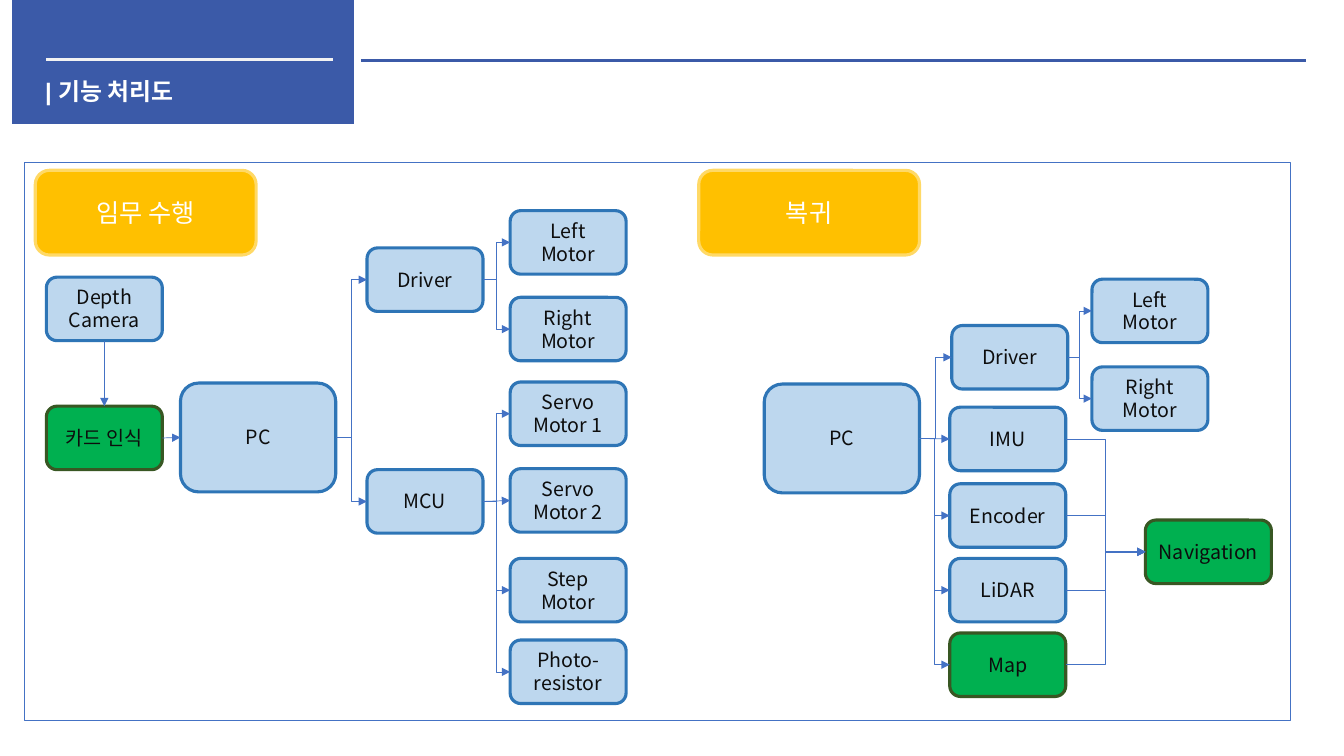
from lxml import etree
from pptx import Presentation
from pptx.dml.color import RGBColor
from pptx.enum.shapes import MSO_CONNECTOR, MSO_SHAPE
from pptx.enum.text import MSO_ANCHOR, PP_ALIGN
from pptx.oxml.ns import qn
from pptx.util import Inches, Pt

RECT, ROUNDED = MSO_SHAPE.RECTANGLE, MSO_SHAPE.ROUNDED_RECTANGLE
STRAIGHT, ELBOW = MSO_CONNECTOR.STRAIGHT, MSO_CONNECTOR.ELBOW
MIDDLE, CENTER = MSO_ANCHOR.MIDDLE, PP_ALIGN.CENTER
TOP, LEFT, BOTTOM, RIGHT = range(4)

NAVY = RGBColor(0x3B, 0x5A, 0xA8)
BLUE = RGBColor(0x44, 0x72, 0xC4)
SKY = RGBColor(0xBD, 0xD7, 0xEE)
SKY_EDGE = RGBColor(0x2E, 0x75, 0xB6)
GREEN = RGBColor(0x00, 0xB0, 0x50)
GREEN_EDGE = RGBColor(0x38, 0x57, 0x23)
GOLD = RGBColor(0xFF, 0xC0, 0x00)
GOLD_EDGE = RGBColor(0xFF, 0xD9, 0x66)
WHITE = RGBColor(0xFF, 0xFF, 0xFF)
PALE = RGBColor(0xF2, 0xF2, 0xF2)
INK = RGBColor(0x0D, 0x0D, 0x0D)
KOREAN_FONT = "Noto Sans CJK KR"

HARDWARE = (SKY, SKY_EDGE, INK, 14)
SOFTWARE = (GREEN, GREEN_EDGE, INK, 14)
HEADING = (GOLD, GOLD_EDGE, WHITE, 18)

prs = Presentation()
prs.slide_width, prs.slide_height = Inches(13.33), Inches(7.5)
slide = prs.slides.add_slide(prs.slide_layouts[6])
shapes = slide.shapes


def add_box(text, left, top, width, height, style):
    fill, edge, color, size = style
    box = shapes.add_shape(ROUNDED, Inches(left), Inches(top), Inches(width), Inches(height))
    box.shadow.inherit = False
    box.fill.solid()
    box.fill.fore_color.rgb = fill
    box.line.color.rgb = edge
    box.line.width = Pt(2.25)
    frame = box.text_frame
    frame.word_wrap = True
    frame.vertical_anchor = MIDDLE
    frame.margin_left = frame.margin_right = Inches(0.03)
    for i, words in enumerate(text.split("\n")):
        para = frame.add_paragraph() if i else frame.paragraphs[0]
        para.alignment = CENTER
        para.line_spacing = Pt(round(size * 1.17, 1))
        run = para.add_run()
        run.text = words
        run.font.name = KOREAN_FONT
        run.font.size = Pt(size)
        run.font.color.rgb = color
        etree.SubElement(run.font._element, qn("a:ea"), typeface=KOREAN_FONT)
    return box


def add_line(kind, x1, y1, x2, y2, color, width):
    line = shapes.add_connector(kind, x1, y1, x2, y2)
    line.line.color.rgb = color
    line.line.width = Pt(width)
    etree.SubElement(line._element.spPr, qn("a:effectLst"))
    return line


# Title block with its rules
banner = shapes.add_shape(RECT, Inches(0.12), 0, Inches(3.39), Inches(1.23))
banner.shadow.inherit = False
banner.fill.solid()
banner.fill.fore_color.rgb = NAVY
banner.line.fill.background()
add_line(STRAIGHT, Inches(0.46), Inches(0.59), Inches(3.3), Inches(0.59), PALE, 2.25)
add_line(STRAIGHT, Inches(3.58), Inches(0.6), Inches(12.95), Inches(0.6), NAVY, 2.25)

title = shapes.add_textbox(Inches(0.35), Inches(0.76), Inches(3.9), Inches(0.31)).text_frame
title.word_wrap = True
title.margin_top = title.margin_bottom = 0
title_run = title.paragraphs[0].add_run()
title_run.text = "| 기능 처리도"
title_run.font.name = "Arial"
title_run.font.size = Pt(17)
title_run.font.bold = True
title_run.font.color.rgb = WHITE
etree.SubElement(title_run.font._element, qn("a:ea"), typeface=KOREAN_FONT)

# Frame around both diagrams
panel = shapes.add_shape(RECT, Inches(0.24), Inches(1.61), Inches(12.56), Inches(5.54))
panel.shadow.inherit = False
panel.fill.background()
panel.line.color.rgb = BLUE
panel.line.width = Pt(0.75)

# Section headings
for heading, left in (("임무 수행", 0.35), ("복귀", 6.93)):
    add_box(heading, left, 1.69, 2.19, 0.84, HEADING)

# Controllers
mission_pc = add_box("PC", 1.79, 3.8, 1.54, 1.08, HARDWARE)
return_pc = add_box("PC", 7.58, 3.81, 1.54, 1.08, HARDWARE)

# Columns of modules: left edge, then text, top and style of each
columns = [
    (0.46, [("Depth\nCamera", 2.75, HARDWARE), ("카드 인식", 4.03, SOFTWARE)]),
    (3.64, [("Driver", 2.46, HARDWARE), ("MCU", 4.66, HARDWARE)]),
    (5.06, [("Left\nMotor", 2.09, HARDWARE), ("Right\nMotor", 2.95, HARDWARE),
            ("Servo\nMotor 1", 3.79, HARDWARE), ("Servo\nMotor 2", 4.65, HARDWARE),
            ("Step\nMotor", 5.54, HARDWARE), ("Photo-\nresistor", 6.35, HARDWARE)]),
    (9.44, [("Driver", 3.23, HARDWARE)]),
    (9.42, [("IMU", 4.04, HARDWARE), ("Encoder", 4.8, HARDWARE),
            ("LiDAR", 5.54, HARDWARE), ("Map", 6.28, SOFTWARE)]),
    (10.83, [("Left\nMotor", 2.77, HARDWARE), ("Right\nMotor", 3.64, HARDWARE)]),
]
inputs, drivers, actuators, return_driver, sensors, return_motors = [
    [add_box(text, left, top, 1.15, 0.63, style) for text, top, style in modules]
    for left, modules in columns
]
navigation = add_box("Navigation", 11.36, 5.16, 1.25, 0.63, SOFTWARE)
camera, card_reader = inputs
motor_driver, board = drivers

# Arrows: each source fans out to its targets
flows = [
    (camera, [card_reader], BOTTOM, TOP),
    (card_reader, [mission_pc], RIGHT, LEFT),
    (mission_pc, drivers, RIGHT, LEFT),
    (motor_driver, actuators[:2], RIGHT, LEFT),
    (board, actuators[2:], RIGHT, LEFT),
    (return_pc, return_driver + sensors, RIGHT, LEFT),
    (return_driver[0], return_motors, RIGHT, LEFT),
] + [(sensor, [navigation], RIGHT, LEFT) for sensor in sensors]

for source, targets, exit_side, entry_side in flows:
    for target in targets:
        rise = (target.top + target.height / 2) - (source.top + source.height / 2)
        level = abs(rise) < Inches(0.03)
        kind = STRAIGHT if level or exit_side == BOTTOM else ELBOW
        arrow = add_line(kind, 0, 0, 0, 0, BLUE, 0.5)
        arrow.begin_connect(source, exit_side)
        arrow.end_connect(target, entry_side)
        etree.SubElement(arrow.line._get_or_add_ln(), qn("a:tailEnd"), type="triangle")

prs.save("out.pptx")
